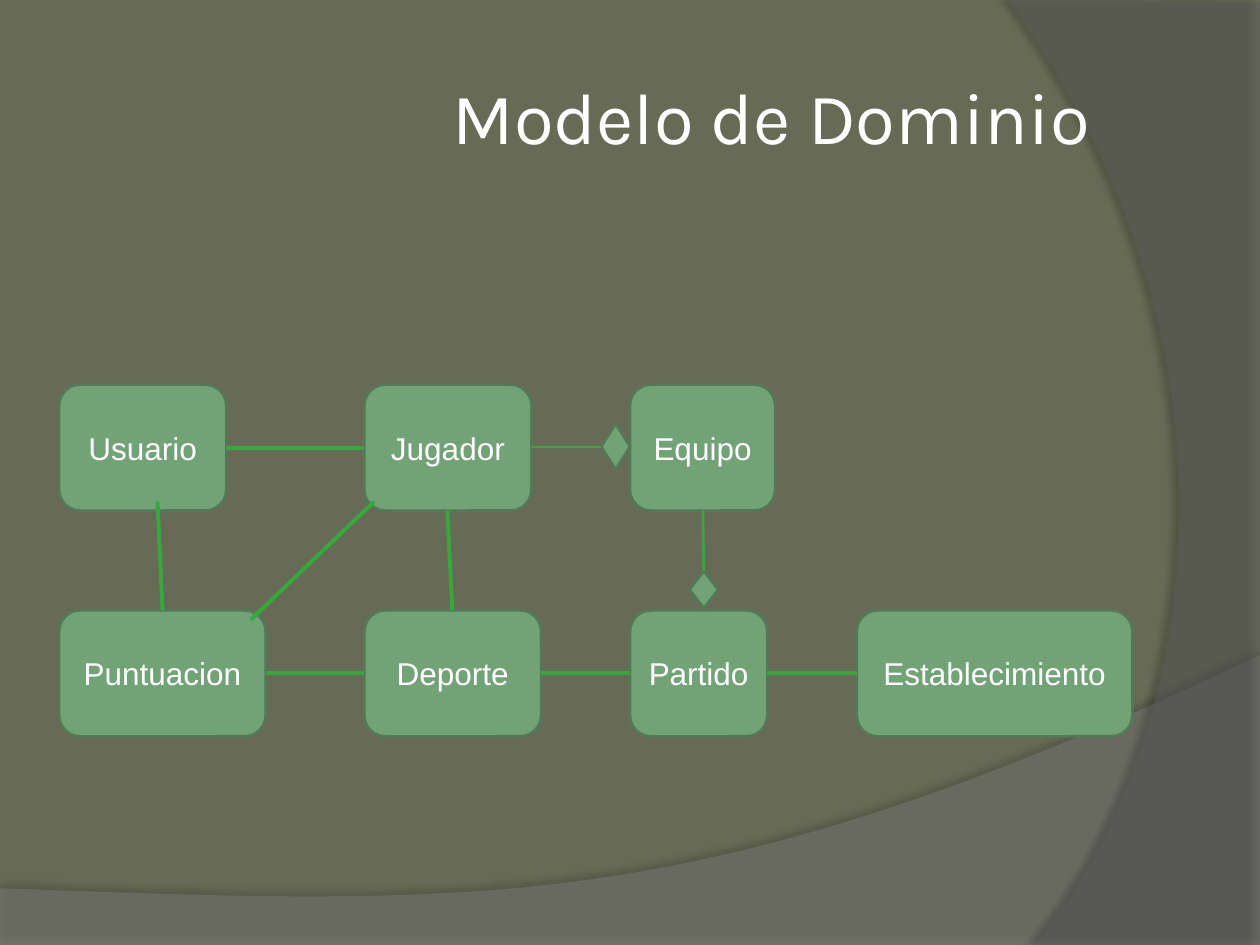
"""Domain model slide: class boxes, associations and aggregations."""
from lxml import etree
from pptx import Presentation
from pptx.dml.color import RGBColor
from pptx.enum import shapes, text
from pptx.oxml import ns
from pptx.util import Pt

OLIVE = RGBColor(0x67, 0x6A, 0x55)
GREY = RGBColor(0x7F, 0x7F, 0x7F)
DARK_GREY = RGBColor(0x5E, 0x5E, 0x5E)
SAGE = RGBColor(0x72, 0xA3, 0x76)
MOSS = RGBColor(0x54, 0x79, 0x57)
GREEN = RGBColor(0x34, 0xAA, 0x3E)
WHITE = RGBColor(0xFF, 0xFF, 0xFF)

TITLE = "Modelo de Dominio"
COLUMNS = (33.8, 208.2, 360, 489.6)
ROWS = (219.8, 348.8)
BOX_H = 72
BOXES = [  # name, column, row, width
    ("Usuario", 0, 0, 95.5),
    ("Jugador", 1, 0, 95.5),
    ("Equipo", 2, 0, 83),
    ("Puntuacion", 0, 1, 118),
    ("Deporte", 1, 1, 101),
    ("Partido", 2, 1, 78.5),
    ("Establecimiento", 3, 1, 157.5),
]
DIAMONDS = [(343.6, 242.2, 16.4, 26), (394, 326.4, 16.4, 21)]
NEIGHBOURS = [
    ("Usuario", "Jugador"),
    ("Puntuacion", "Deporte"),
    ("Deporte", "Partido"),
    ("Partido", "Establecimiento"),
]
THICK, THIN = 2.25, 1.5
LINKS = [
    (90, 286.6, 92.9, 348.8, THICK),
    (213.8, 286.6, 143.3, 354.2, THICK),
    (258.5, 348.8, 255.6, 291.8, THICK),
    (343.6, 255.5, 303.7, 255.5, THIN),
    (402.2, 326.4, 401.7, 291.8, THIN),
]
WAVES = [
    dict(before=[(0, 507.6), (0, 540), (720, 540), (720, 374.4)],
         curve=[(402.5, 524.9), (281.5, 517.7), (0, 507.6)],
         color=GREY, opacity=45, shadow=(35, 3.5, 270)),
    dict(before=[(720, 1.4), (720, 540), (591.1, 540)],
         curve=[(673.2, 445.7), (733, 216), (576, 0)],
         color=DARK_GREY, opacity=40, shadow=(45, 4, 180)),
]


def bezier(a, b, c, d, steps=60):
    """Return points along a cubic curve, without its start."""
    ts = [i / steps for i in range(1, steps + 1)]
    return [tuple((1 - t) ** 3 * p + 3 * t * (1 - t) ** 2 * q
                  + 3 * t * t * (1 - t) * r + t ** 3 * s
                  for p, q, r, s in zip(a, b, c, d)) for t in ts]


def add_alpha(color, percent):
    etree.SubElement(color, ns.qn("a:alpha"), val=str(percent * 1000))


def add_wave(before, curve, color, opacity, shadow):
    points = before + bezier(before[-1], *curve)
    points = [(Pt(x), Pt(y)) for x, y in points]
    builder = slide.shapes.build_freeform(*points[0])
    builder.add_line_segments(points[1:], close=True)
    sp = builder.convert_to_shape()
    sp.fill.solid()
    sp.fill.fore_color.rgb = color
    sp.line.fill.background()
    sp.shadow.inherit = False
    props = sp.element.spPr
    add_alpha(props.find(".//" + ns.qn("a:srgbClr")), opacity)
    strength, distance, angle = shadow
    outer = etree.SubElement(
        props.find(ns.qn("a:effectLst")), ns.qn("a:outerShdw"),
        blurRad=str(Pt(4)), dist=str(Pt(distance)),
        dir=str(angle * 60000), algn="ctr", rotWithShape="0")
    add_alpha(etree.SubElement(outer, ns.qn("a:srgbClr"), val="000000"), strength)


def add_node(kind, x, y, w, h):
    sp = slide.shapes.add_shape(kind, Pt(x), Pt(y), Pt(w), Pt(h))
    sp.shadow.inherit = False
    sp.fill.solid()
    sp.fill.fore_color.rgb = SAGE
    sp.line.color.rgb = MOSS
    sp.line.width = Pt(1.5)
    return sp


def set_text(sp, content, font, size, align):
    tf = sp.text_frame
    tf.text = content
    tf.vertical_anchor = text.MSO_ANCHOR.MIDDLE
    p = tf.paragraphs[0]
    p.alignment = align
    f = p.runs[0].font
    f.name, f.size = font, Pt(size)
    f.color.rgb = WHITE
    return tf


def add_link(x1, y1, x2, y2, width):
    line = slide.shapes.add_connector(
        shapes.MSO_CONNECTOR.STRAIGHT, Pt(x1), Pt(y1), Pt(x2), Pt(y2))
    line.line.color.rgb = GREEN
    line.line.width = Pt(width)
    etree.SubElement(line.element.spPr, ns.qn("a:effectLst"))


prs = Presentation()
prs.slide_width, prs.slide_height = Pt(720), Pt(540)
slide = prs.slides.add_slide(prs.slide_layouts[6])
slide.background.fill.solid()
slide.background.fill.fore_color.rgb = OLIVE

for wave in WAVES:
    add_wave(**wave)

title = slide.shapes.add_textbox(Pt(224), Pt(21.6), Pt(402.4), Pt(89.3))
tf = set_text(title, TITLE, "Karla", 41.4, text.PP_ALIGN.RIGHT)
tf.word_wrap = True
tf.margin_left = tf.margin_right = tf.margin_top = tf.margin_bottom = Pt(3.6)

places = {}
for name, column, row, width in BOXES:
    places[name] = x, y, w = COLUMNS[column], ROWS[row], width
    sp = add_node(shapes.MSO_SHAPE.ROUNDED_RECTANGLE, x, y, w, BOX_H)
    set_text(sp, name, "Arial", 18, text.PP_ALIGN.CENTER).word_wrap = False

for diamond in DIAMONDS:
    add_node(shapes.MSO_SHAPE.DIAMOND, *diamond)

for left, right in NEIGHBOURS:
    x, y, w = places[left]
    middle = y + BOX_H / 2
    add_link(x + w, middle, places[right][0], middle, THICK)

for link in LINKS:
    add_link(*link)

prs.save("out.pptx")
